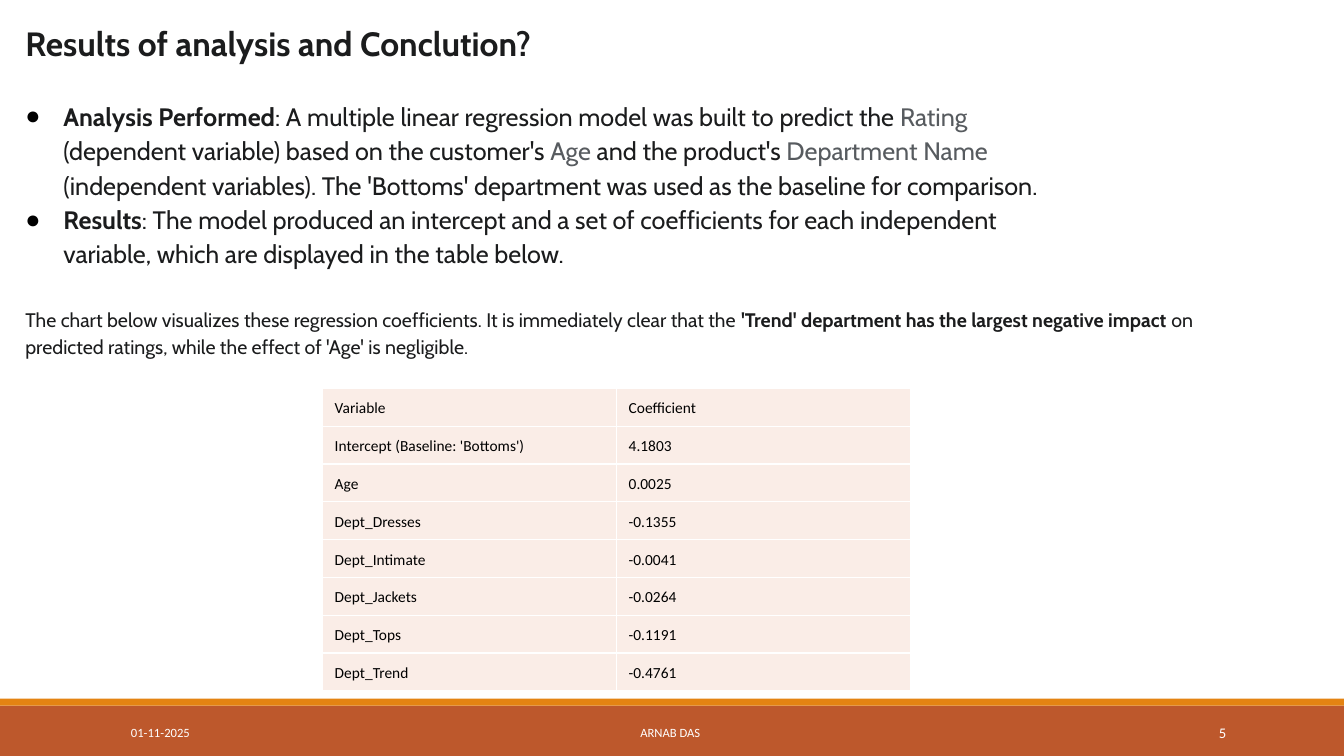
"""Builds the slide on regression results and conclusion."""
from lxml import etree
from pptx import Presentation
from pptx.dml.color import RGBColor
from pptx.enum import shapes, text
from pptx.oxml import ns
from pptx.util import Pt

INK = RGBColor(0x1B, 0x1C, 0x1D)
GRAY = RGBColor(0x57, 0x5B, 0x5F)
BLACK = RGBColor(0, 0, 0)
WHITE = RGBColor(0xFF, 0xFF, 0xFF)
RUST = RGBColor(0xBD, 0x58, 0x2C)
AMBER = RGBColor(0xE4, 0x83, 0x12)
BLUSH = RGBColor(0xFA, 0xED, 0xE7)
LEFT, MID, RIGHT = text.PP_ALIGN.LEFT, text.PP_ALIGN.CENTER, text.PP_ALIGN.RIGHT


def write(frame, paras, size, font="Cabin", color=INK, align=LEFT, lead=1.0,
          anchor=text.MSO_ANCHOR.TOP):
    """Fill a frame with paragraphs of (words, bold, color) runs."""
    frame.word_wrap = True
    frame.auto_size = text.MSO_AUTO_SIZE.NONE
    frame.vertical_anchor = anchor
    for i, runs in enumerate(paras):
        para = frame.add_paragraph() if i else frame.paragraphs[0]
        para.alignment = align
        para.line_spacing = lead
        para.space_before = Pt(0)
        for words, bold, tint in runs:
            run = para.add_run()
            run.text = words
            run.font.size = Pt(size)
            run.font.name = font
            run.font.bold = bold
            run.font.color.rgb = tint or color


def place(shape, left, top, width, height):
    """Move and size a shape, in points."""
    shape.left, shape.top = Pt(left), Pt(top)
    shape.width, shape.height = Pt(width), Pt(height)


deck = Presentation()
deck.slide_width, deck.slide_height = Pt(960), Pt(540)
slide = deck.slides.add_slide(deck.slide_layouts[1])
title, body = slide.placeholders

for top, height, color in [(504, 36, RUST), (499, 5, AMBER)]:
    bar = slide.shapes.add_shape(
        shapes.MSO_SHAPE.RECTANGLE, Pt(0), Pt(top), Pt(960), Pt(height))
    bar.shadow.inherit = False
    bar.fill.solid()
    bar.fill.fore_color.rgb = color
    bar.line.fill.background()

place(title, 11, 13, 799, 36)
write(title.text_frame, [[("Results of analysis and Conclution?", True, None)]], 24)

place(body, 11, 65.5, 765, 130)
write(body.text_frame, [
    [("Analysis Performed", True, None),
     (": A multiple linear regression model was built to predict the ", False, None),
     ("Rating", False, GRAY),
     (" (dependent variable) based on the customer's ", False, None),
     ("Age", False, GRAY),
     (" and the product's ", False, None),
     ("Department Name", False, GRAY),
     (" (independent variables). The 'Bottoms' department was used as the "
      "baseline for comparison.", False, None)],
    [("Results", True, None),
     (": The model produced an intercept and a set of coefficients for each "
      "independent variable, which are displayed in the table below.", False, None)],
], 18, lead=1.14)
for para in body.text_frame.paragraphs:
    props = para._p.get_or_add_pPr()
    props.set("marL", str(Pt(27)))
    props.set("indent", str(Pt(-27)))
    tint = etree.SubElement(props, ns.qn("a:buClr"))
    etree.SubElement(tint, ns.qn("a:srgbClr"), val=str(BLACK))
    etree.SubElement(props, ns.qn("a:buFont"), typeface="Arial")
    etree.SubElement(props, ns.qn("a:buChar"), char="●")

note = slide.shapes.add_textbox(Pt(11), Pt(214), Pt(877), Pt(45))
write(note.text_frame, [[
    ("The chart below visualizes these regression coefficients. It is "
     "immediately clear that the ", False, None),
    ("'Trend' department has the largest negative impact", True, None),
    (" on predicted ratings, while the effect of 'Age' is negligible.", False, None),
]], 14, lead=1.14)

rows = [
    ("Variable", "Coefficient"),
    ("Intercept (Baseline: 'Bottoms')", "4.1803"),
    ("Age", "0.0025"),
    ("Dept_Dresses", "-0.1355"),
    ("Dept_Intimate", "-0.0041"),
    ("Dept_Jackets", "-0.0264"),
    ("Dept_Tops", "-0.1191"),
    ("Dept_Trend", "-0.4761"),
]
table = slide.shapes.add_table(
    len(rows), 2, Pt(230.5), Pt(277.5), Pt(420), Pt(27 * len(rows))).table
table.first_row = table.horz_banding = False
for r, row in enumerate(rows):
    for c, words in enumerate(row):
        cell = table.cell(r, c)
        cell.fill.solid()
        cell.fill.fore_color.rgb = BLUSH
        cell.margin_left = cell.margin_right = Pt(8.6)
        cell.margin_top = cell.margin_bottom = Pt(5.7)
        write(cell.text_frame, [[(words, False, None)]], 11, font="Calibri",
              color=BLACK, lead=1.14)

for words, left, width, size, align in [
        ("01-11-2025", 86.5, 194, 9, LEFT),
        ("ARNAB DAS ", 290, 379.5, 9, MID),
        ("5", 780, 103, 10.5, RIGHT)]:
    foot = slide.shapes.add_textbox(Pt(left), Pt(508.5), Pt(width), Pt(29))
    write(foot.text_frame, [[(words, False, None)]], size, font="Calibri",
          color=WHITE, align=align, anchor=text.MSO_ANCHOR.MIDDLE)

deck.save("out.pptx")
